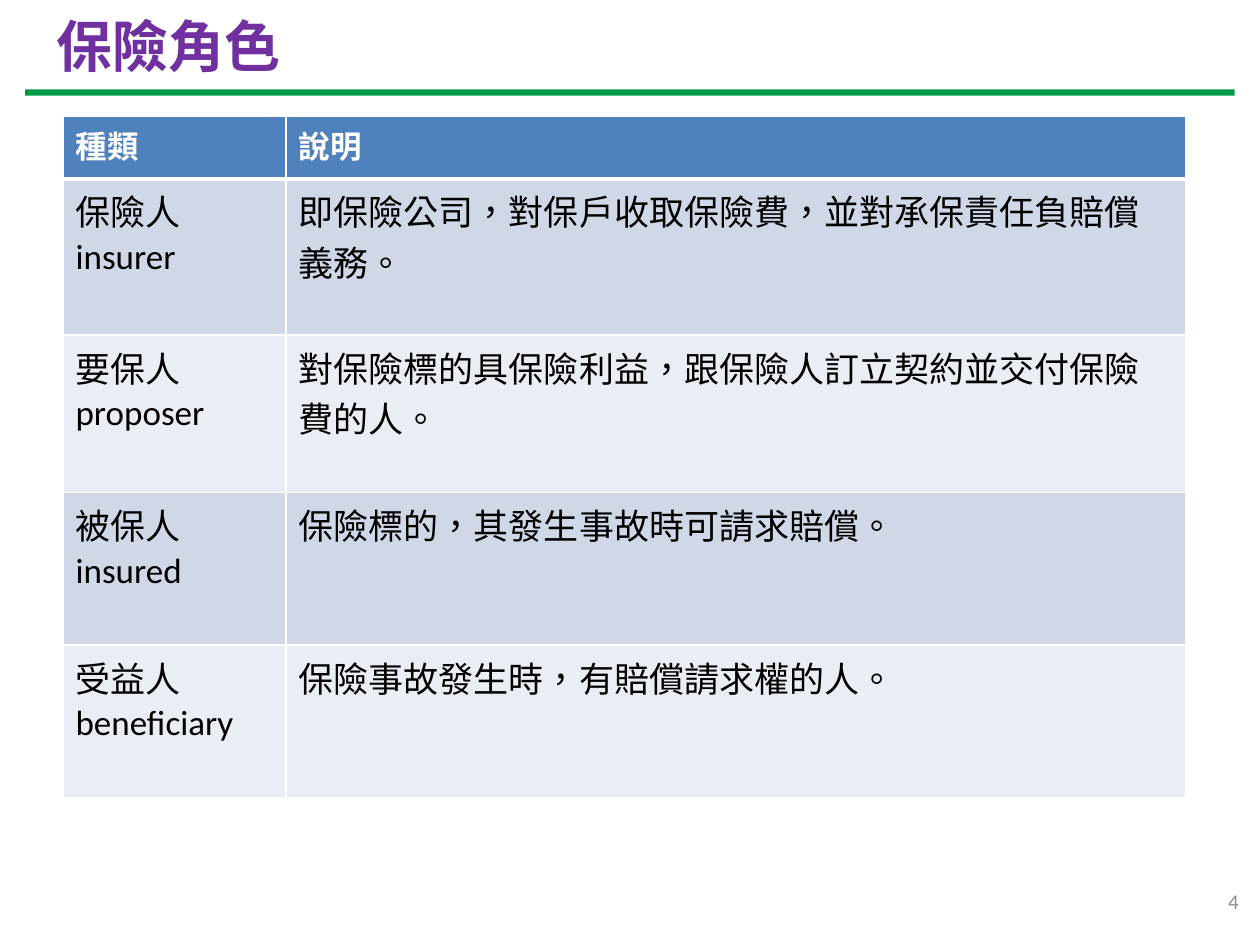
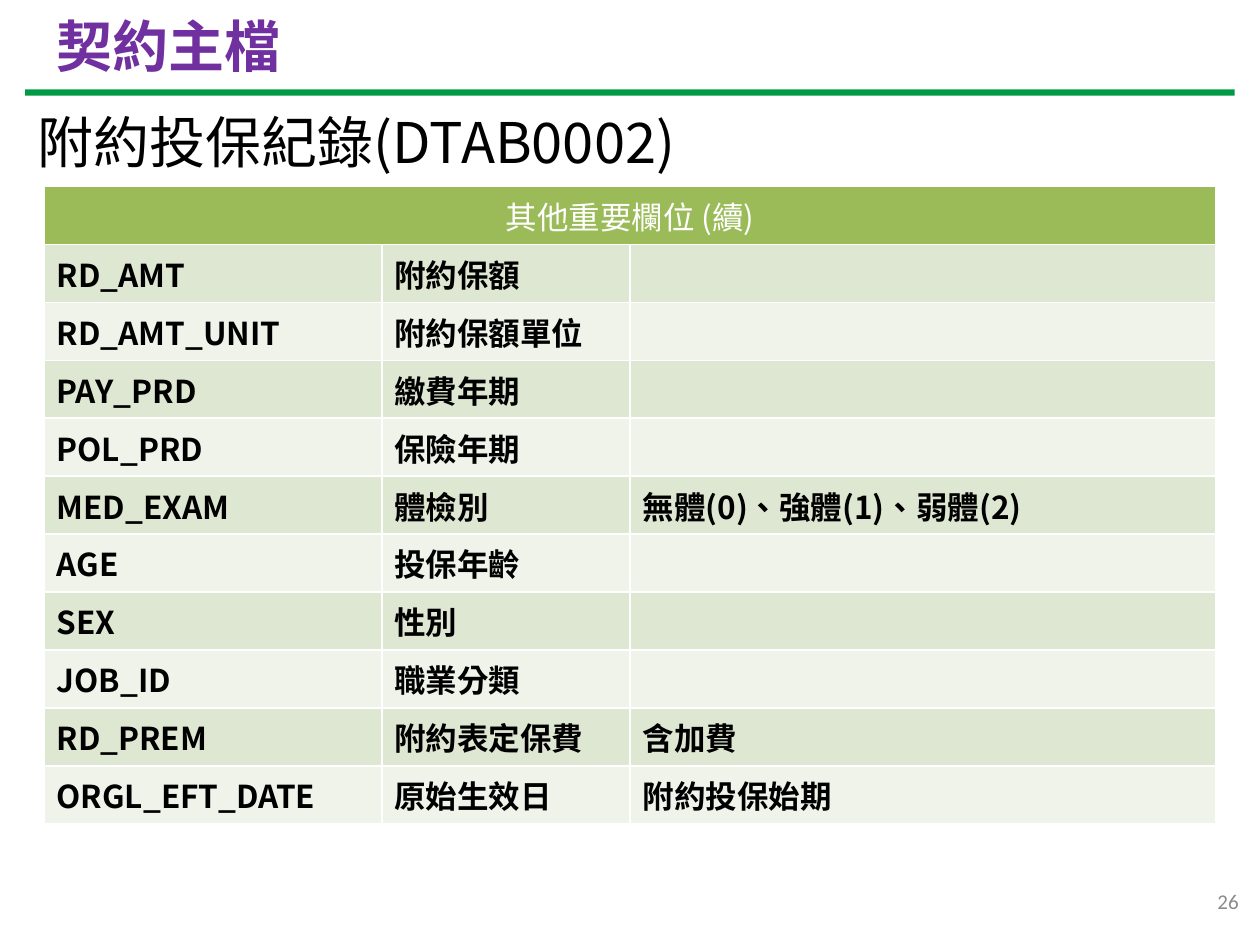
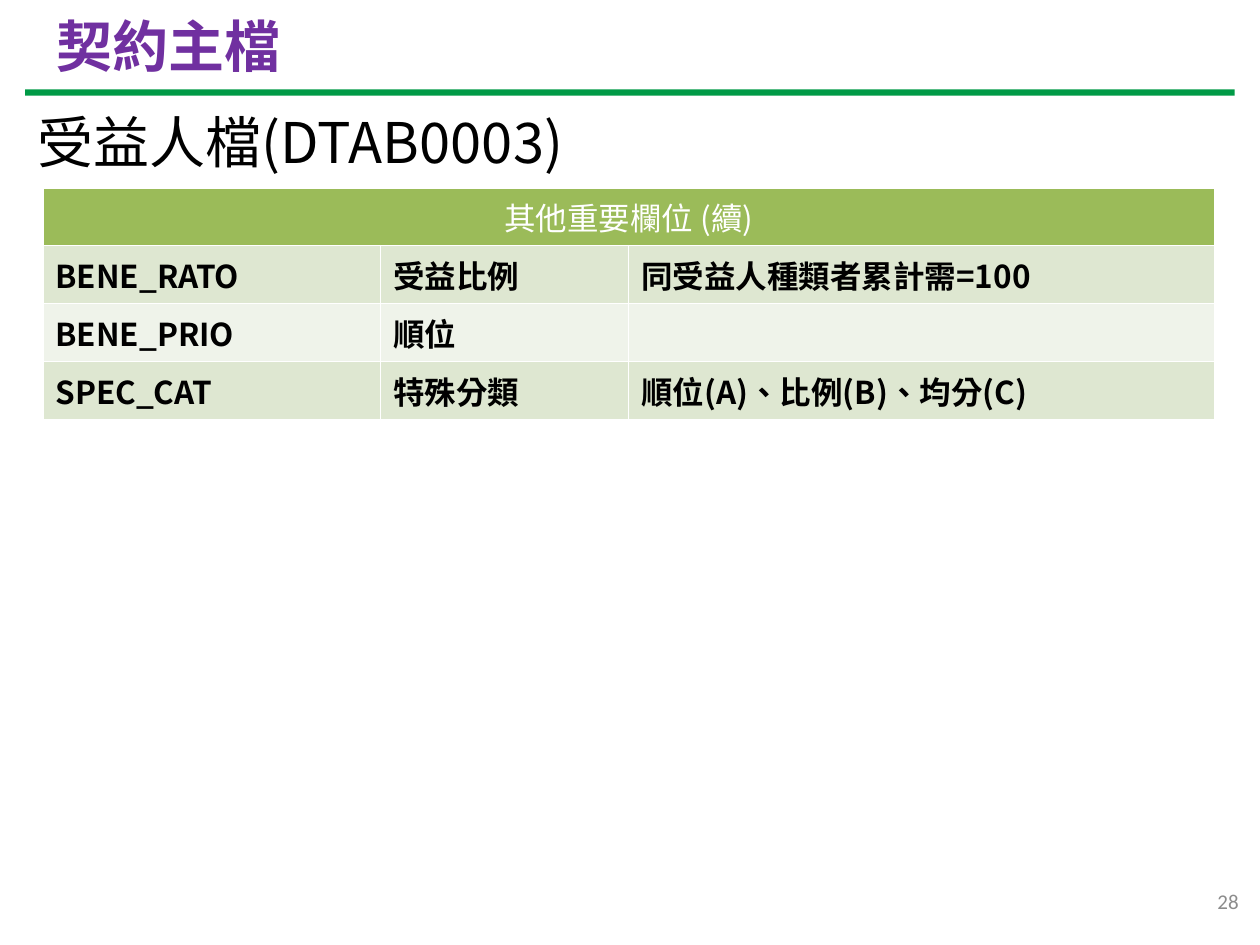
from pptx import Presentation
from pptx.dml.color import RGBColor
from pptx.enum.shapes import MSO_SHAPE as Shape
from pptx.enum.text import MSO_ANCHOR as Anchor, PP_ALIGN as Align
from pptx.oxml.ns import qn
from pptx.util import Inches, Pt
from lxml import etree

COLORS = {
    "title": "7030A0", "rule": "009A46", "number": "8C8C8C",
    "text": "000000", "white": "FFFFFF",
    "blue": "4F81BD", "blue_odd": "D0D8E8", "blue_even": "E9EDF4",
    "green": "9BBB59", "green_odd": "DEE7D1", "green_even": "EFF3EA",
}
CJK, LATIN = "Noto Sans CJK SC", "Calibri"
LANGUAGE = "zh-TW"
FORMATS = {
    "title": {"name": CJK, "size": Pt(32), "bold": True, "color": "title"},
    "subtitle": {"name": CJK, "size": Pt(32), "bold": False, "color": "text"},
    "number": {"name": LATIN, "size": Pt(12), "bold": False, "color": "number"},
    "role_header": {"name": CJK, "size": Pt(18), "bold": True, "color": "white"},
    "role": {"name": CJK, "size": Pt(20), "bold": False, "color": "text"},
    "role_english": {"name": LATIN, "size": Pt(20), "bold": False, "color": "text"},
    "field_header": {"name": CJK, "size": Pt(18), "bold": False, "color": "white"},
    "field": {"name": CJK, "size": Pt(18), "bold": True, "color": "text"},
}
ROLE_COLUMNS = [1.77, 7.14]
ROLE_ROWS = [0.5, 1.24, 1.25, 1.21, 1.21]
FIELD_COLUMNS = [2.68, 1.97, 4.65]
FIELD_ROW = 0.46
FIELD_HEADER = "其他重要欄位 (續)"

ROLES = [
    ("保險人", "insurer", "即保險公司，對保戶收取保險費，並對承保責任負賠償義務。"),
    ("要保人", "proposer", "對保險標的具保險利益，跟保險人訂立契約並交付保險費的人。"),
    ("被保人", "insured", "保險標的，其發生事故時可請求賠償。"),
    ("受益人", "beneficiary", "保險事故發生時，有賠償請求權的人。"),
]
RIDER_FIELDS = [
    ("RD_AMT", "附約保額", ""),
    ("RD_AMT_UNIT", "附約保額單位", ""),
    ("PAY_PRD", "繳費年期", ""),
    ("POL_PRD", "保險年期", ""),
    ("MED_EXAM", "體檢別", "無體(0)、強體(1)、弱體(2)"),
    ("AGE", "投保年齡", ""),
    ("SEX", "性別", ""),
    ("JOB_ID", "職業分類", ""),
    ("RD_PREM", "附約表定保費", "含加費"),
    ("ORGL_EFT_DATE", "原始生效日", "附約投保始期"),
]
BENEFICIARY_FIELDS = [
    ("BENE_RATO", "受益比例", "同受益人種類者累計需=100"),
    ("BENE_PRIO", "順位", ""),
    ("SPEC_CAT", "特殊分類", "順位(A)、比例(B)、均分(C)"),
]


def rgb(color):
    return RGBColor.from_string(COLORS[color])


def write(paragraph, text, style, align=Align.LEFT):
    """Add a run in the named format, with the same font for East Asian text."""
    paragraph.alignment = align
    run = paragraph.add_run()
    run.text = text
    for name, value in FORMATS[style].items():
        if name == "color":
            run.font.color.rgb = rgb(value)
        else:
            setattr(run.font, name, value)
    properties = run._r.get_or_add_rPr()
    properties.set("lang", LANGUAGE)
    etree.SubElement(properties, qn("a:ea"), typeface=FORMATS[style]["name"])


def add_text(slide, box, text, style, align=Align.LEFT):
    frame = slide.shapes.add_textbox(*map(Inches, box)).text_frame
    frame.word_wrap = True
    frame.vertical_anchor = Anchor.MIDDLE
    write(frame.paragraphs[0], text, style, align)


def add_base_slide(presentation, title, number):
    slide = presentation.slides.add_slide(presentation.slide_layouts[6])
    add_text(slide, (7.6, 6.95, 2.33, 0.4), str(number), "number", Align.RIGHT)
    add_text(slide, (0.35, 0.05, 9.29, 0.62), title, "title")
    rule = slide.shapes.add_shape(
        Shape.RECTANGLE, *map(Inches, (0.2, 0.71, 9.6, 0.05)))
    rule.shadow.inherit = False
    rule.fill.solid()
    rule.fill.fore_color.rgb = rgb("rule")
    rule.line.fill.background()
    return slide


def set_borders(cell, top, bottom):
    """Draw white edges; a width of 0 leaves the edge to the cell above."""
    widths = {"a:lnL": 1, "a:lnR": 1, "a:lnT": top, "a:lnB": bottom}
    properties = cell._tc.get_or_add_tcPr()
    for tag, width in widths.items():
        if width:
            line = etree.SubElement(properties, qn(tag), w=str(Pt(width)))
            fill = etree.SubElement(line, qn("a:solidFill"))
            etree.SubElement(fill, qn("a:srgbClr"), val=COLORS["white"])


def add_banded_table(slide, left, top, columns, rows, palette, header_edge):
    table = slide.shapes.add_table(
        len(rows), len(columns), Inches(left), Inches(top),
        Inches(sum(columns)), Inches(sum(rows))).table
    for column, width in zip(table.columns, columns):
        column.width = Inches(width)
    for index, (row, height) in enumerate(zip(table.rows, rows)):
        row.height = Inches(height)
        band = palette + ("_odd" if index % 2 else "_even") if index else palette
        edges = (0, 1) if index else (1, header_edge)
        for cell in row.cells:
            set_borders(cell, *edges)
            cell.fill.solid()
            cell.fill.fore_color.rgb = rgb(band)
    return table


def add_role_table(slide):
    table = add_banded_table(slide, 0.5, 0.92, ROLE_COLUMNS, ROLE_ROWS, "blue", 3)
    for column, header in enumerate(("種類", "說明")):
        write(table.cell(0, column).text_frame.paragraphs[0], header, "role_header")
    for index, (role, english, description) in enumerate(ROLES, 1):
        frame = table.cell(index, 0).text_frame
        write(frame.paragraphs[0], role, "role")
        write(frame.add_paragraph(), english, "role_english")
        write(table.cell(index, 1).text_frame.paragraphs[0], description, "role")


def add_field_table(slide, left, top, fields):
    heights = [FIELD_ROW] * (len(fields) + 1)
    table = add_banded_table(slide, left, top, FIELD_COLUMNS, heights, "green", 1)
    header = table.cell(0, 0)
    header.merge(table.cell(0, len(FIELD_COLUMNS) - 1))
    header.vertical_anchor = Anchor.MIDDLE
    write(header.text_frame.paragraphs[0], FIELD_HEADER, "field_header", Align.CENTER)
    for index, field in enumerate(fields, 1):
        for column, text in enumerate(field):
            if text:
                cell = table.cell(index, column)
                cell.vertical_anchor = Anchor.MIDDLE
                write(cell.text_frame.paragraphs[0], text, "field")


def add_file_slide(presentation, number, subtitle, left, top, fields):
    slide = add_base_slide(presentation, "契約主檔", number)
    add_text(slide, (0.2, 0.76, 7.8, 0.72), subtitle, "subtitle")
    add_field_table(slide, left, top, fields)


def main():
    presentation = Presentation()
    presentation.slide_width = Inches(10)
    presentation.slide_height = Inches(7.5)
    add_role_table(add_base_slide(presentation, "保險角色", 4))
    add_file_slide(presentation, 26, "附約投保紀錄(DTAB0002)", 0.35, 1.48, RIDER_FIELDS)
    add_file_slide(presentation, 28, "受益人檔(DTAB0003)", 0.34, 1.49, BENEFICIARY_FIELDS)
    presentation.save("out.pptx")


if __name__ == "__main__":
    main()
